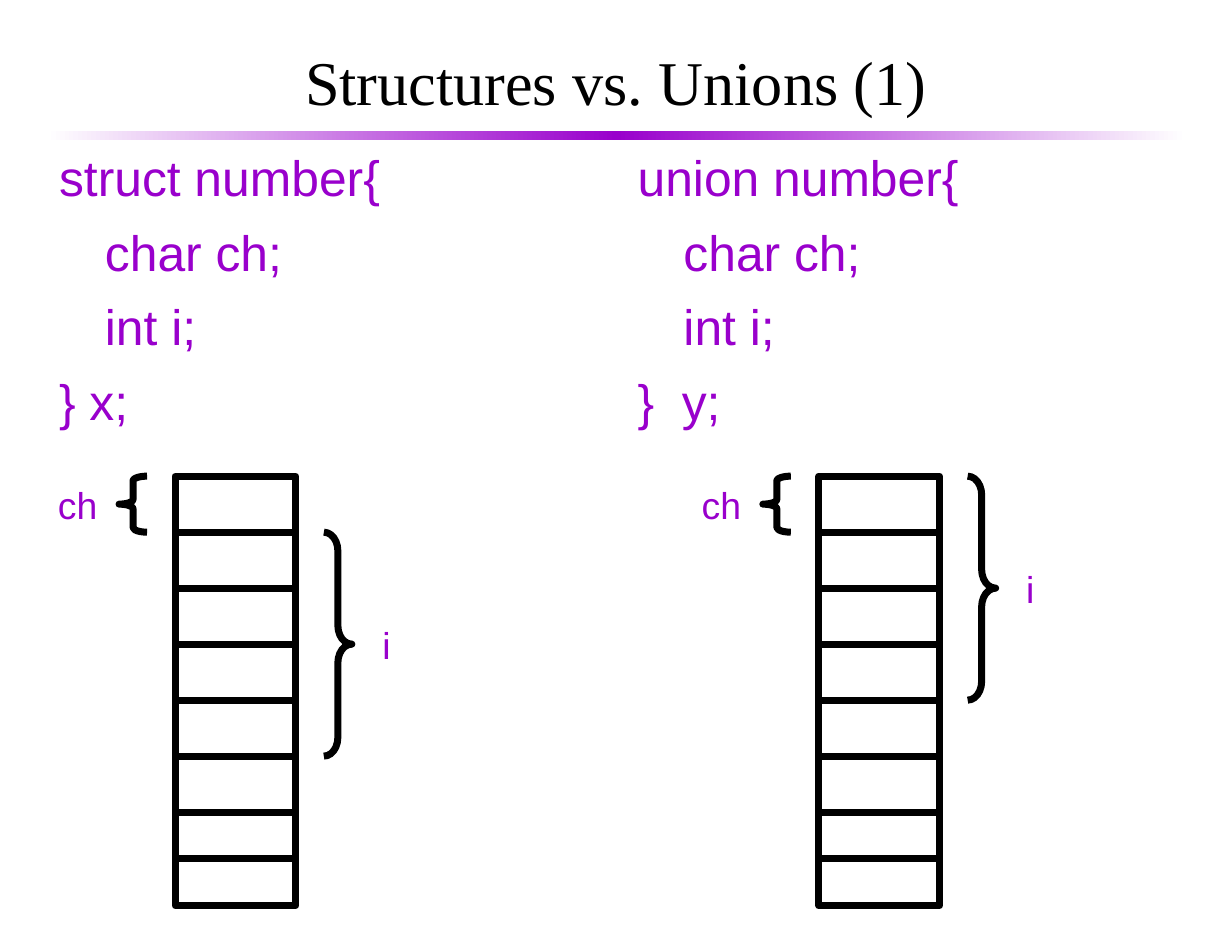
from collections import namedtuple
from copy import deepcopy
from dataclasses import dataclass

from lxml.etree import SubElement
from pptx import Presentation
from pptx.dml.color import RGBColor
from pptx.enum.shapes import MSO_CONNECTOR as Connector, MSO_SHAPE as Preset
from pptx.enum.text import MSO_ANCHOR as Anchor, MSO_AUTO_SIZE as AutoSize, PP_ALIGN as Align
from pptx.oxml.ns import qn
from pptx.util import Cm, Pt


@dataclass(frozen=True)
class Theme:
    accent: RGBColor = RGBColor(0x99, 0x00, 0xCC)
    ink: RGBColor = RGBColor(0, 0, 0)
    paper: RGBColor = RGBColor(0xFF, 0xFF, 0xFF)
    title_font: str = "Times New Roman"
    body_font: str = "Arial"
    title_size: Pt = Pt(40)
    code_size: Pt = Pt(32)
    label_size: Pt = Pt(24)
    stroke: Pt = Pt(4.5)


THEME = Theme()
Box = namedtuple("Box", "left top width height")  # centimetres

ROW = 1.27  # height of one memory cell
CELL_HEIGHTS = [ROW] * 6 + [1.06] * 2
GAP = BRACE_WIDTH = ROW / 2
CODE_INDENT = Cm(1.04)
TAB_STEP = 3.07


def emu(box):
    return [Cm(value) for value in box]


def place(shape, box):
    shape.left, shape.top, shape.width, shape.height = emu(box)


def set_font(paragraph, name, size, color):
    for run in paragraph.runs:
        run.font.name, run.font.size = name, size
        run.font.color.rgb = color


def set_margins(frame, horizontal, vertical):
    frame.margin_left = frame.margin_right = Cm(horizontal)
    frame.margin_top = frame.margin_bottom = Cm(vertical)


def set_stroke(line):
    line.color.rgb = THEME.ink
    line.width = THEME.stroke


def add_outline(slide, preset, box):
    shape = slide.shapes.add_shape(preset, *emu(box))
    shape.shadow.inherit = False
    shape.fill.background()
    set_stroke(shape.line)
    return shape


def add_title(slide, box, text):
    title = slide.shapes.title
    place(title, box)
    frame = title.text_frame
    frame.text = text
    frame.auto_size = AutoSize.NONE
    frame.vertical_anchor = Anchor.MIDDLE
    set_margins(frame, 0.28, 0.15)
    paragraph = frame.paragraphs[0]
    paragraph.alignment = Align.CENTER
    set_font(paragraph, THEME.title_font, THEME.title_size, THEME.ink)


def add_rule(slide, box):
    """Bar under the title that fades out to both sides."""
    bar = slide.shapes.add_shape(Preset.RECTANGLE, *emu(box))
    bar.shadow.inherit = False
    bar.line.fill.background()
    bar.fill.gradient()
    bar.fill.gradient_angle = 0
    stop_list = bar.fill._fill._gradFill.find(qn("a:gsLst"))
    stop_list.insert(1, deepcopy(stop_list[0]))
    colors = (THEME.paper, THEME.accent, THEME.paper)
    for stop, color, position in zip(bar.fill.gradient_stops, colors, (0, 0.5, 1)):
        stop.color.rgb = color
        stop.position = position


def add_code(placeholder, box, lines):
    place(placeholder, box)
    frame = placeholder.text_frame
    frame.text = "\n".join(lines)
    frame.auto_size = AutoSize.NONE
    frame.vertical_anchor = Anchor.TOP
    set_margins(frame, 0.28, 0.15)
    for number, paragraph in enumerate(frame.paragraphs):
        # Hanging indent without bullet, with evenly spaced tab stops
        properties = paragraph._p.get_or_add_pPr()
        properties.set("marL", str(CODE_INDENT))
        properties.set("indent", str(-CODE_INDENT))
        SubElement(properties, qn("a:buNone"))
        tabs = SubElement(properties, qn("a:tabLst"))
        for step in range(8):
            SubElement(tabs, qn("a:tab"), pos=str(Cm(step * TAB_STEP)), algn="l")
        paragraph.space_before = Pt(9.5 if number else 0)
        set_font(paragraph, THEME.body_font, THEME.code_size, THEME.accent)


def add_brace(slide, preset, box):
    brace = add_outline(slide, preset, box)
    brace.adjustments[0] = box.height / 12 / box.width


def add_label(slide, box, text):
    frame = slide.shapes.add_textbox(*emu(box)).text_frame
    frame.text = text
    frame.word_wrap = False
    frame.vertical_anchor = Anchor.MIDDLE
    set_margins(frame, 0.25, 0.13)
    paragraph = frame.paragraphs[0]
    paragraph.alignment = Align.CENTER
    set_font(paragraph, THEME.body_font, THEME.label_size, THEME.accent)


def add_memory(slide, box, int_row):
    """Column of cells; ch takes the first one, i takes four from int_row."""
    add_outline(slide, Preset.RECTANGLE, box)
    right = box.left + box.width

    # Cell borders
    y = box.top
    for height in CELL_HEIGHTS[:-1]:
        y += height
        border = slide.shapes.add_connector(
            Connector.STRAIGHT, Cm(box.left), Cm(y), Cm(right), Cm(y))
        set_stroke(border.line)
        SubElement(border._element.spPr, qn("a:effectLst"))

    # Member ch on the left
    add_brace(slide, Preset.LEFT_BRACE,
              Box(box.left - GAP - BRACE_WIDTH, box.top, BRACE_WIDTH, ROW))
    add_label(slide, Box(box.left - 2.91, box.top, 1.4, ROW), "ch")

    # Member i on the right
    top = box.top + int_row * ROW
    add_brace(slide, Preset.RIGHT_BRACE, Box(right + GAP, top, BRACE_WIDTH, 4 * ROW))
    add_label(slide, Box(right + 1.71, top + 1.5 * ROW, 0.69, ROW), "i")


def main():
    presentation = Presentation()
    presentation.slide_width, presentation.slide_height = Cm(27.94), Cm(21.59)
    slide = presentation.slides.add_slide(presentation.slide_layouts[3])

    add_rule(slide, Box(1.06, 2.97, 25.84, 0.21))
    add_title(slide, Box(1.48, 0.72, 24.97, 2.22), "Structures vs. Unions (1)")

    members = ["\tchar ch;", "\tint i;"]
    columns = [
        (1, 1.06, ["struct number{", *members, "} x;"], 3.97, 1),
        (2, 14.18, ["union number{", *members, "}  y;"], 18.57, 0),
    ]
    for index, code_left, lines, memory_left, int_row in columns:
        add_code(slide.placeholders[index], Box(code_left, 3.18, 12.7, 6.77), lines)
        add_memory(slide, Box(memory_left, 10.8, 2.74, sum(CELL_HEIGHTS)), int_row)

    presentation.save("out.pptx")


if __name__ == "__main__":
    main()
